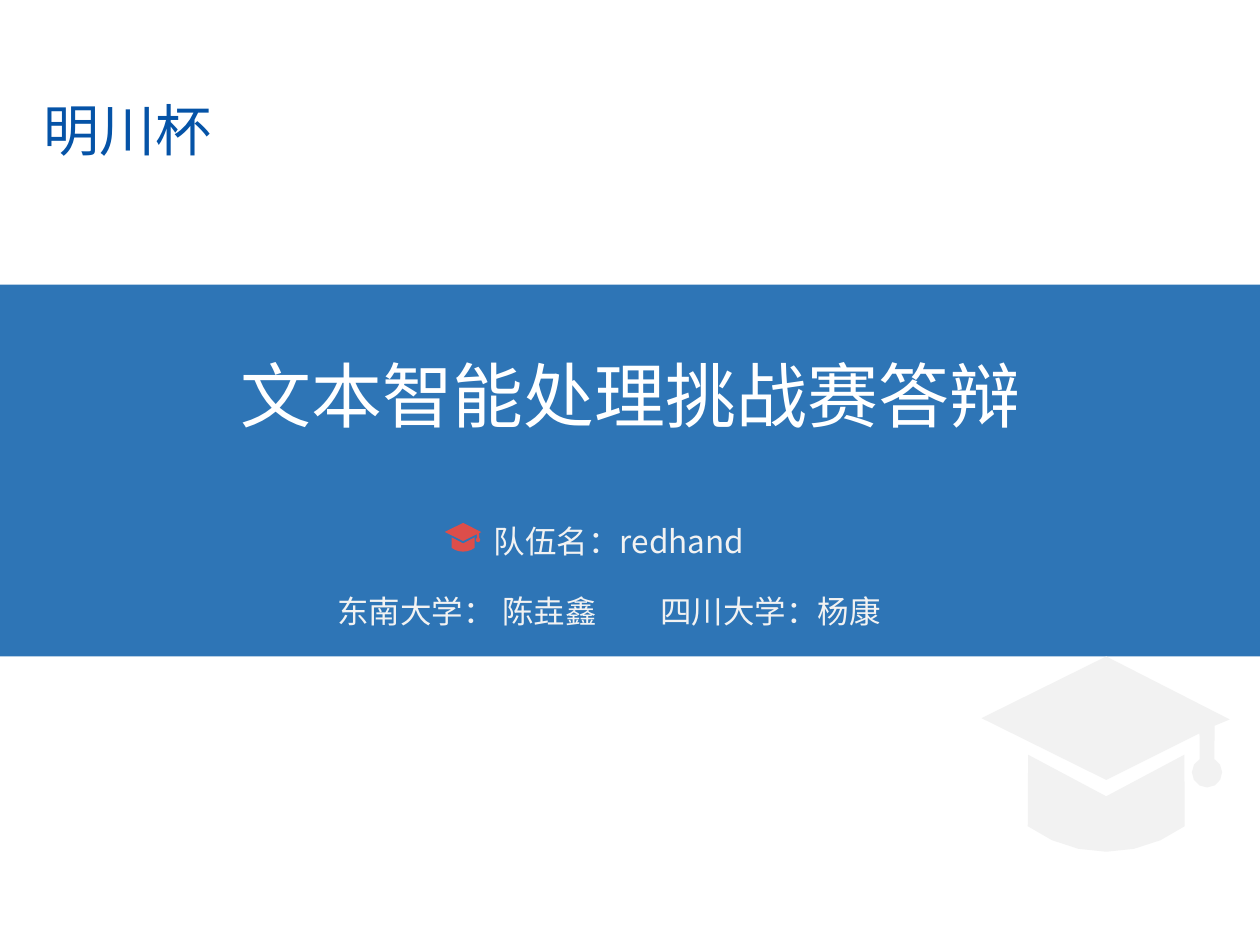
from math import cos, radians, sin

from lxml.etree import SubElement
from pptx import Presentation
from pptx.dml.color import RGBColor
from pptx.enum.shapes import MSO_SHAPE as Kind
from pptx.enum.text import MSO_ANCHOR as Anchor, MSO_AUTO_SIZE as Fit, PP_ALIGN as Align
from pptx.oxml.ns import qn
from pptx.util import Inches, Pt

FONT = "Noto Sans CJK SC"
PALE = "F2F2F2"


def paint(fill, tint):
    fill.solid()
    fill.fore_color.rgb = RGBColor.from_string(tint)


def place(shape, box):
    for name, size in zip(("left", "top", "width", "height"), box):
        setattr(shape, name, Inches(size))


def write(shape, text, size, tint, align=Align.LEFT, wrap=True):
    frame = shape.text_frame
    look = {"word_wrap": wrap, "auto_size": Fit.NONE, "vertical_anchor": Anchor.TOP}
    for name, value in look.items():
        setattr(frame, name, value)
    para = frame.paragraphs[0]
    para.alignment = align
    run = para.add_run()
    run.text = text
    for name, value in {"name": FONT, "size": Pt(size), "bold": False}.items():
        setattr(run.font, name, value)
    paint(run.font.fill, tint)
    SubElement(run.font._element, qn("a:ea"), typeface=FONT)
    return para


def add_text(slide, box, text, size, tint):
    shape = slide.shapes.add_textbox(*map(Inches, box))
    return write(shape, text, size, tint)


def add_tab(para, stop):
    tabs = SubElement(para._p.get_or_add_pPr(), qn("a:tabLst"))
    SubElement(tabs, qn("a:tab"), pos=str(Inches(stop)), algn="l")


def add_band(slide, box, tint):
    band = slide.shapes.add_shape(Kind.RECTANGLE, *map(Inches, box))
    band.shadow.inherit = False
    paint(band.fill, tint)
    band.line.fill.background()
    return band


def arc(x, y, radius, start, end, steps):
    turns = [radians(start + (end - start) * i / steps) for i in range(steps + 1)]
    return [(x + radius * cos(t), y + radius * sin(t)) for t in turns]


def add_cap(slide, left, top, width, tint):
    base = [(0.37, 0.78), *arc(0.99, 0.49, 1.06, 126, 54, 6), (1.61, 0.78), (0.99, 1.11)]
    board = [(1.85, 0.55), (1.97, 0.5), (0.99, 0), (0, 0.49), (0.99, 0.98),
             (1.73, 0.61), *arc(1.79, 0.92, 0.12, 241, -61, 10)]
    ratio = width / 1.97

    def spot(point):
        return Inches(left + point[0] * ratio), Inches(top + point[1] * ratio)

    pen = slide.shapes.build_freeform(*spot(base[0]), scale=1.0)
    pen.add_line_segments([spot(p) for p in base[1:]], close=True)
    pen.move_to(*spot(board[0]))
    pen.add_line_segments([spot(p) for p in board[1:]], close=True)
    cap = pen.convert_to_shape()
    cap.shadow.inherit = False
    paint(cap.fill, tint)
    cap.line.fill.background()


def main():
    deck = Presentation()
    deck.slide_width, deck.slide_height = Inches(10), Inches(7.5)
    slide = deck.slides.add_slide(deck.slide_layouts[5])
    paint(slide.background.fill, "FFFFFF")

    band = add_band(slide, (-0.05, 2.26, 10.09, 2.95), "2E75B6")
    title = slide.shapes.title
    place(title, (1.78, 2.74, 6.45, 0.78))
    write(title, "文本智能处理挑战赛答辩", 40.5, "FFFFFF", Align.CENTER, False)
    band.element.addnext(title.element)

    team = add_text(slide, (2.58, 4.65, 4.95, 0.71),
                    "东南大学： 陈垚鑫\t四川大学：杨康", 18, PALE)
    add_tab(team, 2.56)
    add_text(slide, (0.25, 0.71, 2.69, 0.64), "明川杯", 32, "0553A7")
    add_cap(slide, 7.79, 5.21, 1.97, PALE)
    add_cap(slide, 3.53, 4.15, 0.29, "DD4E4A")
    add_text(slide, (3.82, 4.09, 2.45, 0.4), "队伍名：redhand", 18, PALE)
    deck.save("out.pptx")


if __name__ == "__main__":
    main()
